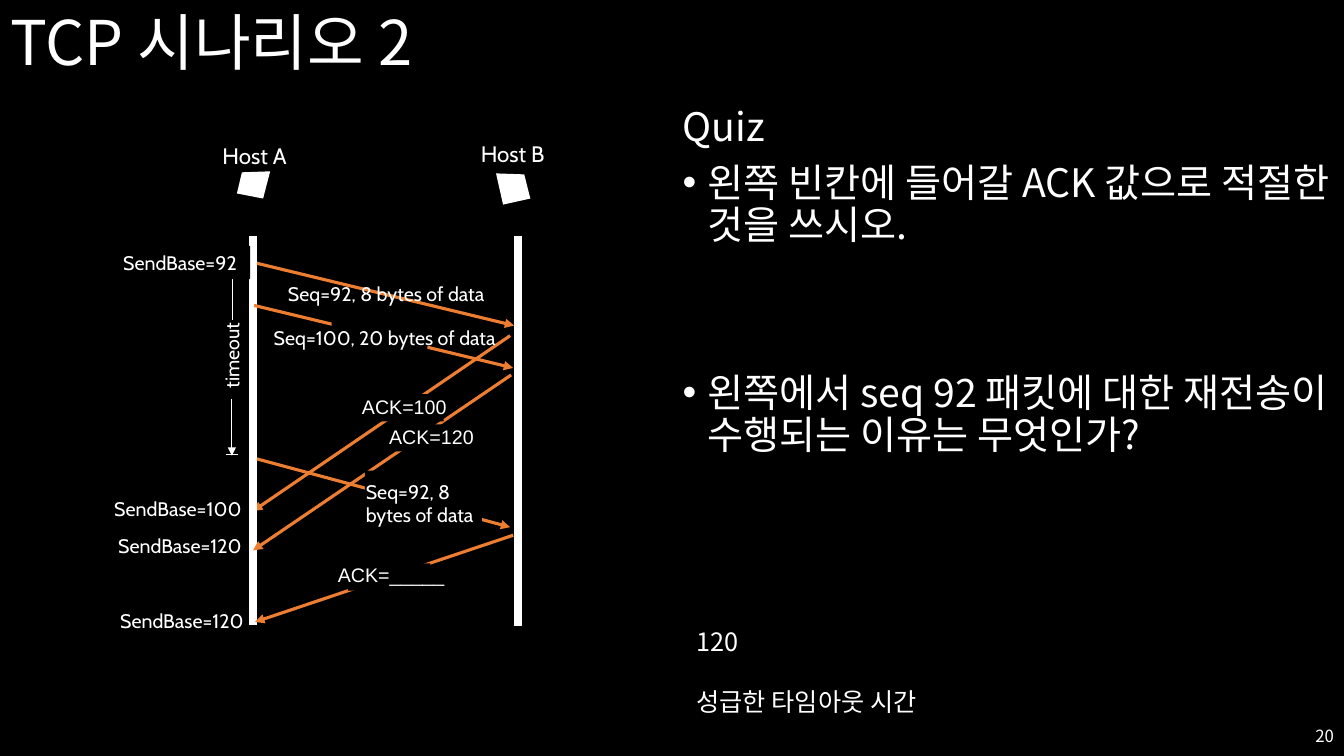
from pptx import Presentation
from pptx.dml.color import RGBColor
from pptx.enum.shapes import MSO_CONNECTOR, MSO_SHAPE
from pptx.enum.text import MSO_ANCHOR, MSO_AUTO_SIZE, PP_ALIGN
from pptx.oxml.ns import qn
from pptx.util import Pt

PX = 9144
LEFT, CENTER, RIGHT = PP_ALIGN.LEFT, PP_ALIGN.CENTER, PP_ALIGN.RIGHT
TOP, MIDDLE = MSO_ANCHOR.TOP, MSO_ANCHOR.MIDDLE
NO_FIT = MSO_AUTO_SIZE.NONE
STRAIGHT, RECT = MSO_CONNECTOR.STRAIGHT, MSO_SHAPE.RECTANGLE
BLACK, WHITE, ORANGE = "000000", "FFFFFF", "ED7D31"
KR, CABIN, ARIAL = "Noto Sans CJK KR", "Cabin", "Arial"


def rgb(value):
    return RGBColor.from_string(value)


def write(sp, box, paragraphs, size, font, align=LEFT, anchor=TOP, wrap=True,
          spacing=None, bullets=False):
    sp.left, sp.top, sp.width, sp.height = [v * PX for v in box]
    tf = sp.text_frame
    frame = {"auto_size": NO_FIT, "word_wrap": wrap, "vertical_anchor": anchor}
    for name, value in frame.items():
        setattr(tf, name, value)
    for i, (text, before) in enumerate(paragraphs):
        p = tf.paragraphs[0] if i == 0 else tf.add_paragraph()
        if bullets:
            pPr = p._p.get_or_add_pPr()
            hang = 25 * PX if i else 0
            pPr.set("marL", str(hang))
            pPr.set("indent", str(-hang))
            bu = pPr.makeelement(qn("a:buChar" if i else "a:buNone"),
                                 {"char": "•"} if i else {})
            pPr.append(bu)
        layout = {"alignment": align, "line_spacing": spacing,
                  "space_before": Pt(before)}
        for name, value in layout.items():
            setattr(p, name, value)
        r = p.add_run()
        r.text = text
        for name, value in {"size": Pt(size), "name": font}.items():
            setattr(r.font, name, value)
        r.font.color.rgb = rgb(WHITE)
        rPr = r._r.get_or_add_rPr()
        rPr.append(rPr.makeelement(qn("a:ea"), {"typeface": font}))


prs = Presentation()
prs.slide_width, prs.slide_height = 1333 * PX, 750 * PX
s = prs.slides.add_slide(prs.slide_layouts[1])
s.background.fill.solid()
s.background.fill.fore_color.rgb = rgb(BLACK)

write(s.shapes.title, (0, 0, 1333, 90), [("TCP 시나리오 2", 0)], 44, KR,
      anchor=MIDDLE, spacing=0.9)
quiz = [
    ("Quiz", 0),
    ("왼쪽 빈칸에 들어갈 ACK 값으로 적절한 것을 쓰시오.", 10),
    ("왼쪽에서 seq 92 패킷에 대한 재전송이 수행되는 이유는 무엇인가?", 90),
]
write(s.placeholders[1], (667, 102, 667, 610), quiz, 28, KR,
      spacing=Pt(30), bullets=True)

lines = [
    (250, 454, 506, 523, ORANGE, 2.25, True),
    (254, 261, 510, 323, ORANGE, 2.25, True),
    (506, 333, 251, 507, ORANGE, 2.25, True),
    (251, 234, 251, 620, WHITE, 6, False),
    (514, 234, 514, 621, WHITE, 6, False),
    (509, 531, 253, 617, ORANGE, 2.25, True),
    (231, 317, 231, 261, WHITE, 0.75, True),
    (230, 396, 230, 452, WHITE, 0.75, True),
    (236, 451, 224, 451, WHITE, 0.75, False),
    (252, 303, 509, 365, ORANGE, 2.25, True),
    (507, 372, 251, 546, ORANGE, 2.25, True),
]
for x1, y1, x2, y2, color, width, arrow in lines:
    c = s.shapes.add_connector(STRAIGHT, x1 * PX, y1 * PX, x2 * PX, y2 * PX)
    c.line.color.rgb = rgb(color)
    c.line.width = Pt(width)
    spPr = c._element.spPr
    if arrow:
        ln = spPr.find(qn("a:ln"))
        ln.append(ln.makeelement(qn("a:tailEnd"), {"type": "triangle"}))
    spPr.append(spPr.makeelement(qn("a:effectLst"), {}))

label_backs = [
    (358, 391, 82, 27),
    (384, 421, 82, 27),
    (345, 559, 82, 27),
    (362, 467, 116, 56),
    (329, 312, 95, 44),
    (109, 244, 139, 33),
]
for box in label_backs:
    sp = s.shapes.add_shape(RECT, *[v * PX for v in box])
    sp.shadow.inherit = False
    sp.fill.solid()
    sp.fill.fore_color.rgb = rgb(BLACK)
    sp.line.fill.background()

labels = [
    ("Host A", (210, 136, 85, 37), 16, CABIN, 0),
    ("Host B", (466, 134, 85, 37), 16, CABIN, 0),
    ("Seq=92, 8 bytes of data", (269, 275, 228, 33), 14, CABIN, 0),
    ("Seq=100, 20 bytes of data", (257, 318, 249, 33), 14, CABIN, 0),
    ("ACK=100", (349, 387, 104, 33), 14, ARIAL, 0),
    ("ACK=120", (376, 417, 104, 33), 14, ARIAL, 0),
    ("ACK=_____", (325, 554, 126, 34), 14, ARIAL, 0),
    ("SendBase=92", (109, 244, 139, 33), 14, CABIN, 0),
    ("SendBase=100", (102, 488, 149, 33), 14, CABIN, 0),
    ("SendBase=120", (104, 525, 149, 33), 14, CABIN, 0),
    ("SendBase=120", (106, 599, 149, 33), 14, CABIN, 0),
    ("timeout", (192, 336, 75, 33), 14, CABIN, 270),
]
for text, box, size, font, rotation in labels:
    sp = s.shapes.add_textbox(0, 0, 0, 0)
    write(sp, box, [(text, 0)], size, font, align=CENTER, wrap=False)
    sp.rotation = rotation

resend = s.shapes.add_textbox(0, 0, 0, 0)
write(resend, (353, 471, 133, 57), [("Seq=92, 8", 0), ("bytes of data", 0)],
      14, CABIN, wrap=False)
answers = s.shapes.add_textbox(0, 0, 0, 0)
write(answers, (681, 617, 262, 101), [("120", 0), ("성급한 타임아웃 시간", 22)],
      18, KR, spacing=Pt(21))
number = s.shapes.add_textbox(0, 0, 0, 0)
write(number, (1033, 710, 300, 40), [("20", 0)], 12, KR, align=RIGHT,
      anchor=MIDDLE)

hosts = [
    [(268, 170), (240, 171), (235, 192), (261, 197)],
    [(492, 172), (520, 173), (526, 197), (499, 203)],
]
for start, *rest in hosts:
    fb = s.shapes.build_freeform(*start, scale=PX)
    fb.add_line_segments(rest, close=True)
    sp = fb.convert_to_shape()
    sp.shadow.inherit = False
    sp.fill.solid()
    sp.fill.fore_color.rgb = rgb(WHITE)
    sp.line.fill.background()

prs.save("out.pptx")
